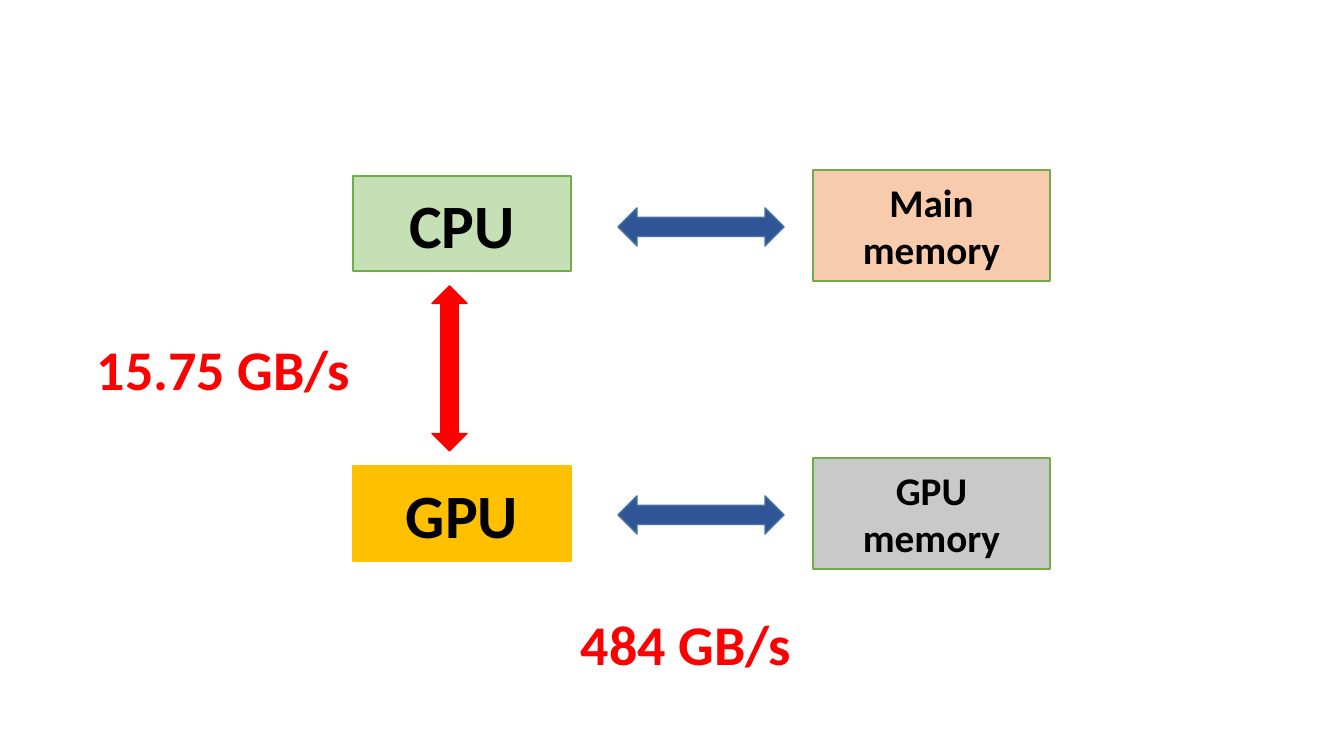
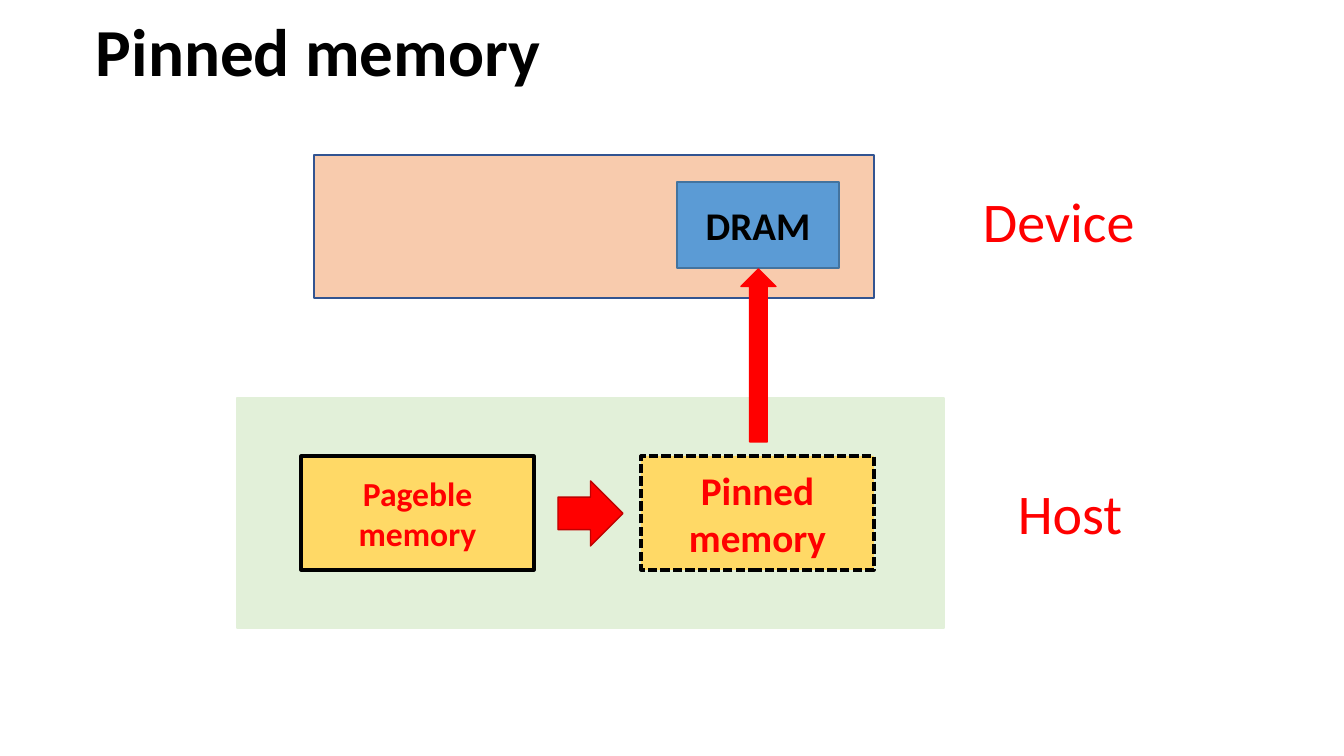
import pptx
import pptx.util
import pptx.dml.color
import pptx.enum.dml
import pptx.enum.shapes
import pptx.enum.text

RGB = pptx.dml.color.RGBColor
KIND = pptx.enum.shapes.MSO_SHAPE
ALIGN = pptx.enum.text.PP_ALIGN
ANCHOR = pptx.enum.text.MSO_ANCHOR

FONT = "Calibri"
BLACK = RGB(0x00, 0x00, 0x00)
RED = RGB(0xFF, 0x00, 0x00)
MAROON = RGB(0xC0, 0x00, 0x00)
GREEN = RGB(0x70, 0xAD, 0x47)
LEAF = RGB(0xC5, 0xE0, 0xB4)
MINT = RGB(0xE2, 0xF0, 0xD9)
AMBER = RGB(0xFF, 0xC0, 0x00)
YELLOW = RGB(0xFF, 0xD9, 0x66)
PEACH = RGB(0xF8, 0xCB, 0xAD)
GRAY = RGB(0xC9, 0xC9, 0xC9)
NAVY = RGB(0x2F, 0x55, 0x97)
INK = RGB(0x32, 0x54, 0x91)
STEEL = RGB(0x43, 0x73, 0x9E)
BLUE = RGB(0x5B, 0x9B, 0xD5)

PX = 9144000 / 1008  # EMU in one px


def add_block(slide, kind, box, fill, edge, text="", size=28, color=BLACK, width=1):
    """Add a filled shape, with centred bold text if there is any."""
    shape = slide.shapes.add_shape(kind, *[round(v * PX) for v in box])
    shape.shadow.inherit = False
    shape.fill.solid()
    shape.fill.fore_color.rgb = fill
    shape.line.color.rgb = edge
    shape.line.width = pptx.util.Pt(width)
    if text:
        shape.text_frame.text = text
        para = shape.text_frame.paragraphs[0]
        para.alignment = ALIGN.CENTER
        font = para.runs[0].font
        font.name, font.size, font.bold = FONT, pptx.util.Pt(size), True
        font.color.rgb = color
    return shape


def add_label(slide, box, text, size=40, color=RED, bold=False):
    label = slide.shapes.add_textbox(*[round(v * PX) for v in box])
    frame = label.text_frame
    frame.word_wrap = True
    frame.text = text
    font = frame.paragraphs[0].runs[0].font
    font.name, font.size, font.bold = FONT, pptx.util.Pt(size), bold
    font.color.rgb = color
    return frame


deck = pptx.Presentation()
deck.slide_width = round(1344 * PX)
deck.slide_height = round(756 * PX)
blank = deck.slide_layouts[6]

# Bandwidth: each processor with its memory
slide = deck.slides.add_slide(blank)
rows = [
    (176, "CPU", LEAF, GREEN, 170, "Main memory", PEACH, 208),
    (466, "GPU", AMBER, AMBER, 458, "GPU memory", GRAY, 496),
]
for top, chip, fill, edge, shelf, store, tint, mid in rows:
    add_block(slide, KIND.RECTANGLE, (353, top, 218, 95), fill, edge, chip, 44)
    add_block(slide, KIND.RECTANGLE, (813, shelf, 237, 111), tint, GREEN, store)
    add_block(slide, KIND.LEFT_RIGHT_ARROW, (618, mid, 166, 38), NAVY, STEEL)
link = add_block(slide, KIND.LEFT_RIGHT_ARROW, (367, 351, 165, 35), RED, RED)
link.rotation = 90
add_label(slide, (87, 330, 346, 78), "15.75 GB/s", bold=True)
add_label(slide, (571, 605, 325, 78), "484 GB/s", bold=True)

# Pinned memory: from host to device
slide = deck.slides.add_slide(blank)
title = add_label(slide, (86, 0, 1159, 110), "Pinned memory", 48, BLACK, True)
title.vertical_anchor = ANCHOR.MIDDLE
title.paragraphs[0].line_spacing = 0.9

add_block(slide, KIND.RECTANGLE, (314, 155, 560, 143), PEACH, INK)
add_block(slide, KIND.RECTANGLE, (237, 398, 707, 230), MINT, MINT)
add_block(slide, KIND.RECTANGLE, (301, 456, 233, 114), YELLOW, BLACK,
          "Pageble memory", 24, RED, 2.25)
pinned = add_block(slide, KIND.RECTANGLE, (641, 456, 233, 114), YELLOW, BLACK,
                   "Pinned memory", 28, RED, 2.25)
pinned.line.dash_style = pptx.enum.dml.MSO_LINE.SQUARE_DOT
add_block(slide, KIND.RIGHT_ARROW, (558, 481, 65, 65), RED, MAROON)
add_block(slide, KIND.RECTANGLE, (677, 182, 162, 86), BLUE, STEEL, "DRAM")
add_block(slide, KIND.UP_ARROW, (741, 269, 35, 173), RED, RED)
add_label(slide, (973, 182, 232, 78), "Device")
add_label(slide, (1008, 474, 232, 78), "Host")

deck.save("out.pptx")
